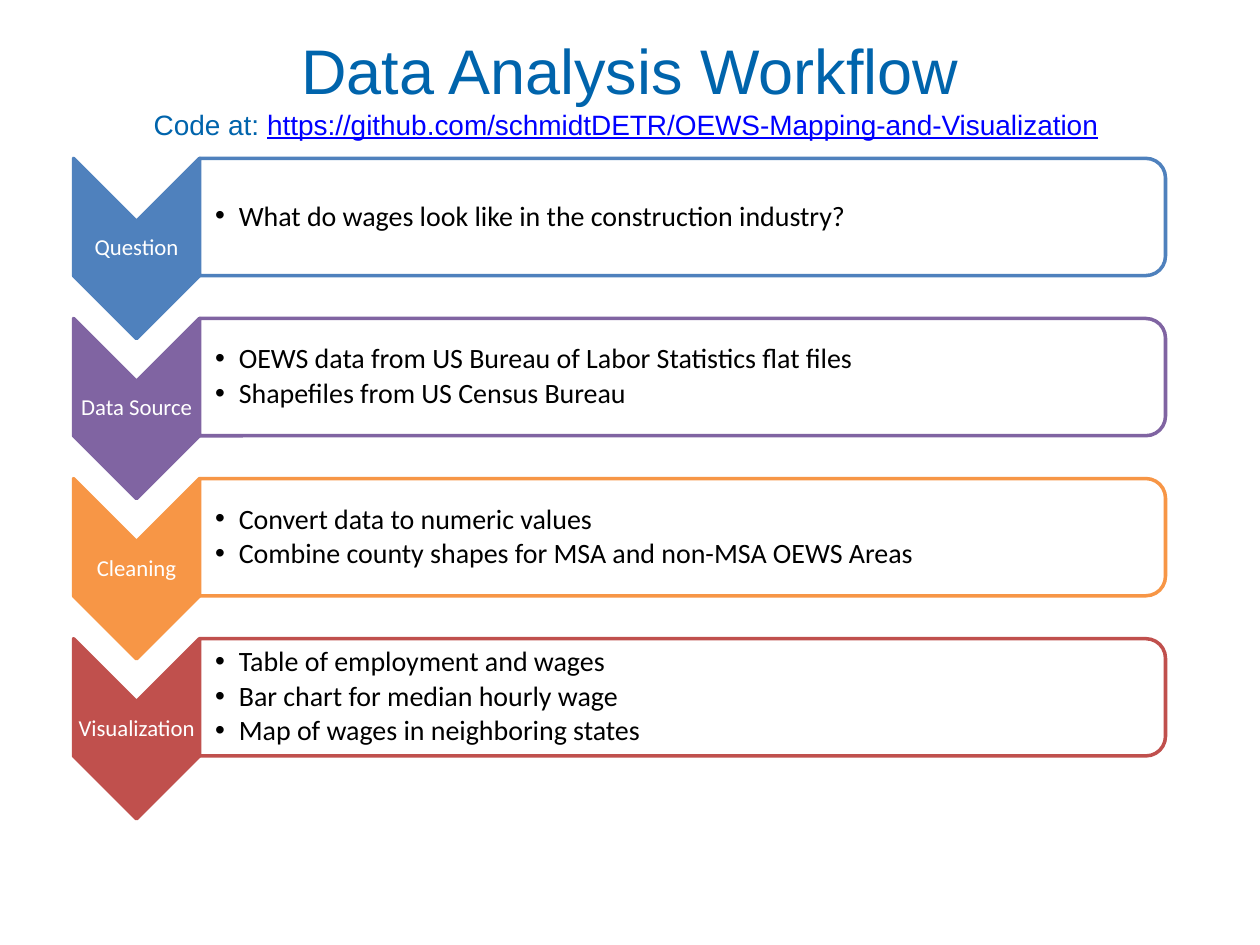
from lxml.etree import SubElement
from pptx import Presentation
from pptx.dml.color import RGBColor
from pptx.enum.shapes import MSO_SHAPE as Shape
from pptx.enum.text import MSO_ANCHOR as Anchor, MSO_AUTO_SIZE as AutoSize, PP_ALIGN as Align
from pptx.oxml.ns import qn
from pptx.util import Pt

COLORS = {
    "title": "0064AC", "link": "0000FF", "white": "FFFFFF", "black": "000000",
    "blue": "4F81BD", "purple": "8064A2", "orange": "F79646", "red": "C0504D",
}
STEPS = [
    ("Question", "blue", ["What do wages look like in the construction industry?"]),
    ("Data Source", "purple", ["OEWS data from US Bureau of Labor Statistics flat files",
                               "Shapefiles from US Census Bureau"]),
    ("Cleaning", "orange", ["Convert data to numeric values",
                            "Combine county shapes for MSA and non-MSA OEWS Areas"]),
    ("Visualization", "red", ["Table of employment and wages",
                              "Bar chart for median hourly wage",
                              "Map of wages in neighboring states"]),
]
CHEVRON_WIDTH = 72
PANEL_HEIGHT = 67
ROW_PITCH = 91.5


def color(name):
    return RGBColor.from_string(COLORS[name])


def style_font(font, size, color_name, name):
    font.size, font.name = Pt(size), name
    font.color.rgb = color(color_name)


def add_title(slide, left, top, width, height):
    title = slide.shapes.title
    title.left, title.top, title.width, title.height = map(Pt, (left, top, width, height))
    frame = title.text_frame
    frame.auto_size, frame.vertical_anchor = AutoSize.NONE, Anchor.BOTTOM
    paragraph = frame.paragraphs[0]
    paragraph.alignment = Align.CENTER
    runs = [
        ("Data Analysis Workflow", 36, "title"),
        ("Code at: ", 16, "title"),
        ("https://github.com/schmidtDETR/OEWS-Mapping-and-Visualization", 16, "link"),
        (" ", 16, "title"),
    ]
    for index, (text, size, color_name) in enumerate(runs):
        if index == 1:
            paragraph.add_line_break()
        run = paragraph.add_run()
        run.text = text
        style_font(run.font, size, color_name, "Arial")
        run.font.underline = color_name == "link"


def add_turned_shape(slide, kind, left, top, width, height, fill, line):
    """Place a shape turned by 90 degrees so that it covers the given box."""
    shape = slide.shapes.add_shape(
        kind, Pt(left + (width - height) / 2), Pt(top + (height - width) / 2),
        Pt(height), Pt(width))
    shape.rotation = 90
    shape.shadow.inherit = False
    shape.fill.solid()
    shape.fill.fore_color.rgb = color(fill)
    shape.line.color.rgb = color(line)
    shape.line.width = Pt(2)


def add_text(slide, left, top, width, height, lines, size, color_name,
             inset=1, space_after=0, bullets=False):
    box = slide.shapes.add_textbox(Pt(left), Pt(top), Pt(width), Pt(height))
    frame = box.text_frame
    frame.word_wrap, frame.vertical_anchor = True, Anchor.MIDDLE
    frame.margin_left = Pt(inset)
    frame.margin_top = frame.margin_right = frame.margin_bottom = Pt(1)
    for index, text in enumerate(lines):
        paragraph = frame.add_paragraph() if index else frame.paragraphs[0]
        paragraph.text = text
        paragraph.alignment = Align.LEFT if bullets else Align.CENTER
        paragraph.line_spacing = 0.9
        paragraph.space_after = Pt(space_after)
        if bullets:
            properties = paragraph._p.get_or_add_pPr()
            properties.set("marL", str(Pt(13.5)))
            properties.set("indent", str(Pt(-13.5)))
            SubElement(properties, qn("a:buFont"), typeface="Arial")
            SubElement(properties, qn("a:buChar"), char="•")
        style_font(paragraph.font, size, color_name, "Calibri")


def add_step(slide, left, top, width, height, label, accent, points):
    # Chevron with its label
    add_turned_shape(slide, Shape.CHEVRON, left, top, CHEVRON_WIDTH, height, accent, accent)
    add_text(slide, left, top + 36, CHEVRON_WIDTH, 31, [label], 13, "white")
    # Panel with its bullet points
    panel_left, panel_width = left + CHEVRON_WIDTH, width - CHEVRON_WIDTH
    add_turned_shape(slide, Shape.ROUND_2_SAME_RECTANGLE, panel_left, top,
                     panel_width, PANEL_HEIGHT, "white", accent)
    add_text(slide, panel_left, top + 3.25, panel_width - 3.5, PANEL_HEIGHT - 6.5, points,
             16, "black", inset=9, space_after=2.4, bullets=True)


def main():
    presentation = Presentation()
    presentation.slide_width, presentation.slide_height = Pt(720), Pt(540)
    slide = presentation.slides.add_slide(presentation.slide_layouts[5])
    add_title(slide, 24, 6, 672, 78)
    for index, step in enumerate(STEPS):
        add_step(slide, 42, 90.5 + index * ROW_PITCH, 624, 103, *step)
    presentation.save("out.pptx")


if __name__ == "__main__":
    main()
